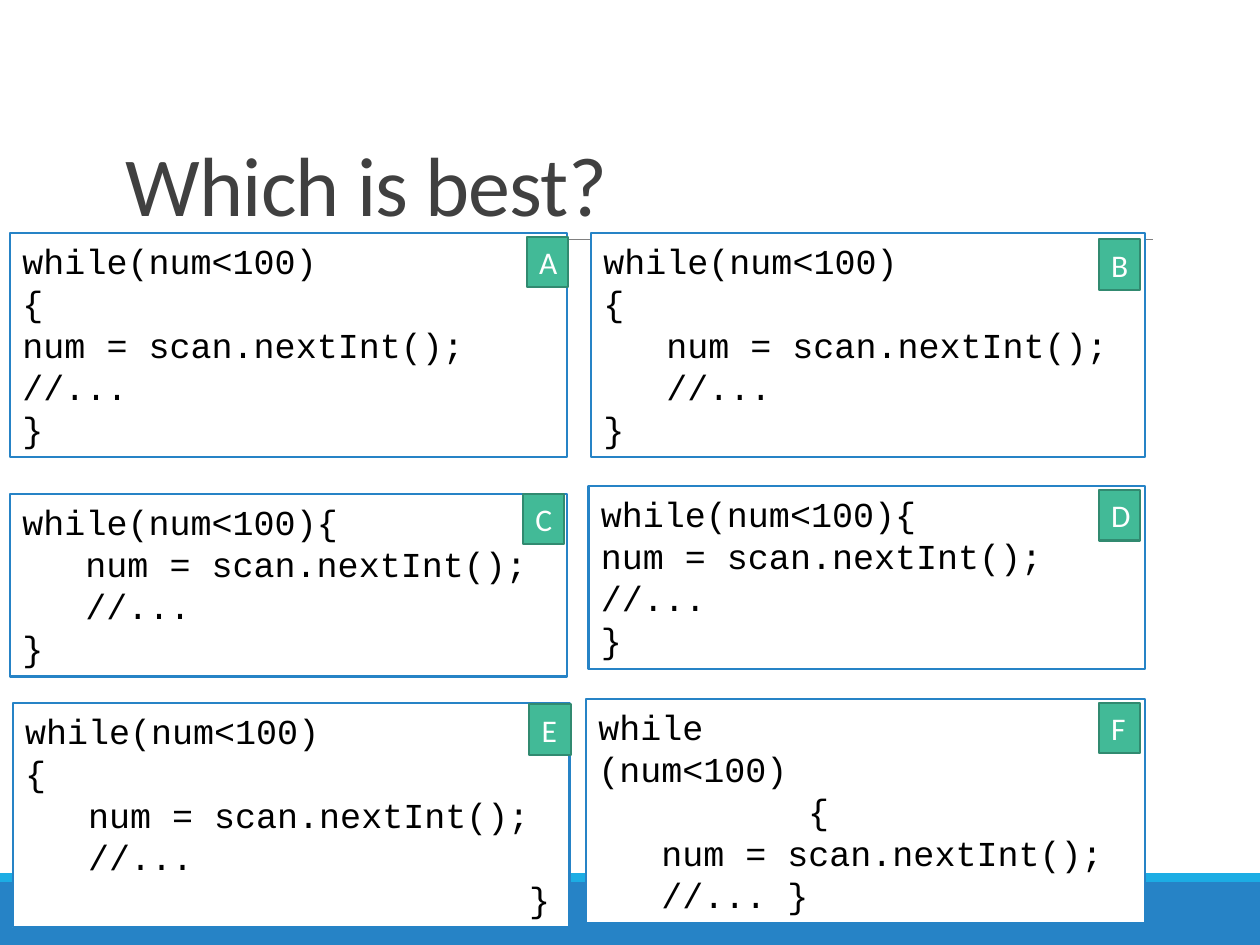
from lxml.etree import SubElement
from pptx import Presentation
from pptx.dml.color import RGBColor
from pptx.enum.shapes import MSO_CONNECTOR, MSO_SHAPE
from pptx.enum.text import MSO_ANCHOR, PP_ALIGN
from pptx.oxml.ns import qn
from pptx.util import Inches, Pt

BLUE, CYAN, GREEN, DARK_GREEN = "2683C6", "1CADE4", "42BA97", "318A70"
WHITE, BLACK, GREY, DARK = "FFFFFF", "000000", "808080", "404040"
CHAR_WIDTH = 1 / 6  # one Courier New character at 20 pt, in inches

READ, REST = "num = scan.nextInt();", "//..."

# Letter, box (left, top, width, height), badge (left, top),
# code lines as (indent in characters, text)
OPTIONS = [
    ("A", (0.08, 1.85, 4.42, 1.78), (4.18, 1.88),
     [(0, "while(num<100)"), (0, "{"), (0, READ), (0, REST), (0, "}")]),
    ("B", (4.69, 1.85, 4.4, 1.78), (8.72, 1.9),
     [(0, "while(num<100)"), (0, "{"), (3, READ), (3, REST), (0, "}")]),
    ("C", (0.08, 3.92, 4.42, 1.45), (4.15, 3.92),
     [(0, "while(num<100){"), (3, READ), (3, REST), (0, "}")]),
    ("D", (4.67, 3.86, 4.42, 1.45), (8.72, 3.89),
     [(0, "while(num<100){"), (0, READ), (0, REST), (0, "}")]),
    ("E", (0.1, 5.58, 4.42, 1.78), (4.2, 5.59),
     [(0, "while(num<100)"), (0, "{"), (3, READ), (3, REST), (24, "}")]),
    ("F", (4.65, 5.55, 4.44, 1.78), (8.72, 5.58),
     [(0, "while"), (0, "(num<100)"), (10, "{"), (3, READ), (3, REST + " }")]),
]


def rgb(color):
    return RGBColor.from_string(color)


def inches(*lengths):
    return [Inches(n) for n in lengths]


def set_font(p, name, size, color):
    p.font.name = name
    p.font.size = Pt(size)
    p.font.color.rgb = rgb(color)


def add_rect(slide, box, fill, line=None):
    sp = slide.shapes.add_shape(MSO_SHAPE.RECTANGLE, *inches(*box))
    sp.shadow.inherit = False
    sp.fill.solid()
    sp.fill.fore_color.rgb = rgb(fill)
    if line:
        sp.line.color.rgb = rgb(line)
        sp.line.width = Pt(1.25)
    else:
        sp.line.fill.background()
    return sp


def add_rule(slide, x1, x2, y):
    line = slide.shapes.add_connector(MSO_CONNECTOR.STRAIGHT, *inches(x1, y, x2, y))
    line.line.color.rgb = rgb(GREY)
    line.line.width = Pt(0.5)
    SubElement(line._element.spPr, qn("a:effectLst"))


def add_title(slide, text):
    sp = slide.shapes.add_textbox(*inches(0.9, 0.31, 8.25, 1.59))
    tf = sp.text_frame
    tf.word_wrap = True
    tf.vertical_anchor = MSO_ANCHOR.BOTTOM
    p = tf.paragraphs[0]
    p.line_spacing = 0.85
    r = p.add_run()
    r.text = text
    set_font(p, "Calibri", 48, DARK)
    r.font._element.set("spc", "-50")


def add_code(slide, box, lines):
    tf = add_rect(slide, box, WHITE, BLUE).text_frame
    tf.word_wrap = True
    tf.vertical_anchor = MSO_ANCHOR.TOP
    for i, (indent, text) in enumerate(lines):
        p = tf.add_paragraph() if i else tf.paragraphs[0]
        p.text = text
        p.alignment = PP_ALIGN.LEFT
        set_font(p, "Courier New", 20, BLACK)
        if indent:
            p._p.get_or_add_pPr().set("marL", str(Inches(indent * CHAR_WIDTH)))


def add_badge(slide, left, top, letter):
    tf = add_rect(slide, (left, top, 0.33, 0.4), GREEN, DARK_GREEN).text_frame
    tf.word_wrap = False
    tf.vertical_anchor = MSO_ANCHOR.TOP
    p = tf.paragraphs[0]
    p.text = letter
    p.alignment = PP_ALIGN.LEFT
    set_font(p, "Calibri", 18, WHITE)


def main():
    prs = Presentation()
    prs.slide_width, prs.slide_height = inches(10, 7.5)
    slide = prs.slides.add_slide(prs.slide_layouts[6])

    # Footer bands, title and its rule
    add_rect(slide, (0, 7, 10, 0.5), BLUE)
    add_rect(slide, (0, 6.93, 10, 0.07), CYAN)
    add_rule(slide, 0.98, 9.15, 1.9)
    add_title(slide, "Which is best?")

    # Code options with their letters
    for letter, box, badge, lines in OPTIONS:
        add_code(slide, box, lines)
        add_badge(slide, *badge, letter)

    prs.save("out.pptx")


main()
